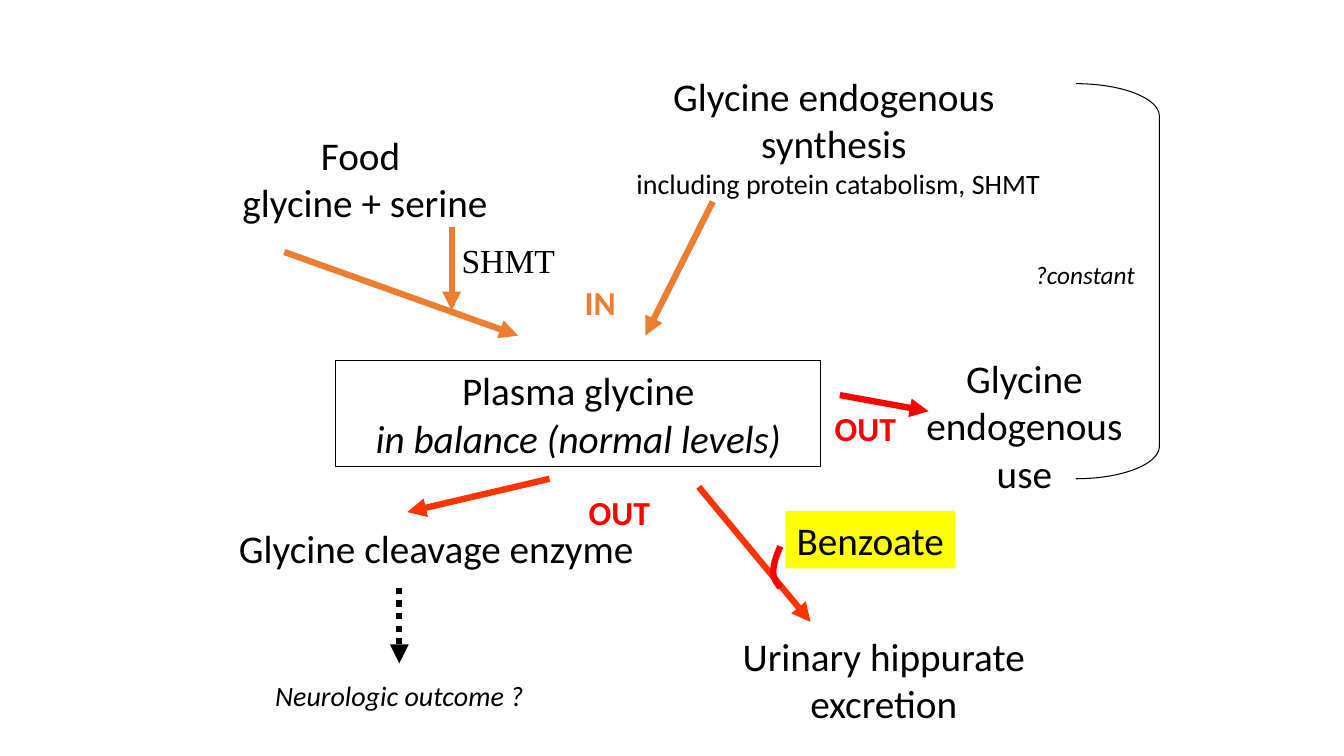
"""Builds a one-slide diagram of glycine entering and leaving the plasma pool."""
from lxml import etree
from pptx import Presentation
from pptx.dml.color import RGBColor
from pptx.enum.dml import MSO_LINE
from pptx.enum.shapes import MSO_CONNECTOR, MSO_SHAPE
from pptx.enum.text import MSO_AUTO_SIZE, PP_ALIGN
from pptx.oxml.ns import qn
from pptx.util import Inches, Pt

STRAIGHT = MSO_CONNECTOR.STRAIGHT
RECTANGLE = MSO_SHAPE.RECTANGLE
RIGHT_BRACKET = MSO_SHAPE.RIGHT_BRACKET
DOTTED = MSO_LINE.ROUND_DOT
GROW = MSO_AUTO_SIZE.SHAPE_TO_FIT_TEXT
CENTER, LEFT = PP_ALIGN.CENTER, PP_ALIGN.LEFT

BLACK = RGBColor(0x00, 0x00, 0x00)
ORANGE = RGBColor(0xED, 0x7D, 0x31)
RED = RGBColor(0xFF, 0x00, 0x00)
ORANGE_RED = RGBColor(0xFF, 0x33, 0x00)
YELLOW = RGBColor(0xFF, 0xFF, 0x00)
BODY_FONT, SERIF_FONT = "Calibri", "Times New Roman"
THIN, THICK = 0.75, 4.5

# (left, top, width, height), wraps, [(text, size, italic)]
TOPICS = [
    ((2.29, 1.25, 2.66, 1.04), False, [("Food ", 28, False), ("glycine + serine", 28, False)]),
    ((5.98, 0.67, 4.67, 1.37), True, [
        ("Glycine endogenous ", 28, False),
        ("synthesis ", 28, False),
        ("including protein catabolism, SHMT", 20, False),
    ]),
    ((8.82, 3.47, 2.68, 1.5), True, [("Glycine endogenous use", 28, False)]),
    ((2.25, 5.15, 4.24, 0.57), False, [("Glycine cleavage enzyme ", 28, False)]),
    ((2.62, 6.68, 2.68, 0.44), False, [("Neurologic outcome ?", 20, True)]),
    ((6.96, 6.22, 3.61, 1.03), True, [("Urinary hippurate excretion", 28, False)]),
]
# (left, top, width, height), wraps, lines, fill, outline
PANELS = [
    ((3.33, 3.58, 4.81, 1.05), True,
     [("Plasma glycine", 28, False), ("in balance (normal levels)", 28, True)], None, BLACK),
    ((7.79, 5.07, 1.68, 0.57), False, [("Benzoate", 28, False)], YELLOW, None),
]
# (left, top, width, height), text, size, colour, font, bold, italic
LABELS = [
    ((5.7, 2.75, 0.51, 0.5), "IN", 24, ORANGE, BODY_FONT, True, False),
    ((5.74, 4.83, 0.82, 0.5), "OUT", 24, RED, BODY_FONT, True, False),
    ((8.18, 4, 0.82, 0.5), "OUT", 24, RED, BODY_FONT, True, False),
    ((4.48, 2.33, 1.13, 0.5), "SHMT", 24, BLACK, SERIF_FONT, False, False),
    ((10.17, 2.52, 1.2, 0.4), "?constant", 18, BLACK, BODY_FONT, False, True),
]
# start, end, colour, dash
ARROWS = [
    ((7.07, 2), (6.4, 3.33), ORANGE, None),
    ((8.33, 3.92), (9.21, 4.08), RED, None),
    ((2.82, 2.5), (5.14, 3.33), ORANGE, None),
    ((5.45, 4.75), (4.04, 5.08), ORANGE_RED, None),
    ((6.93, 4.83), (8.04, 6.17), ORANGE_RED, None),
    ((3.96, 5.83), (3.96, 6.58), BLACK, DOTTED),
    ((4.48, 2.25), (4.48, 3.08), ORANGE, None),
]
BRACKET = (10.67, 0.83, 0.83, 3.92)
BRACKET_CURVE = 0.39
BENZOATE_CURVES = [
    [(7.74, 5.42), (7.7, 5.51), (7.67, 5.6), (7.67, 5.67)],
    [(7.67, 5.67), (7.67, 5.74), (7.7, 5.78), (7.74, 5.83)],
]
CURVE_STEPS = 10


def inches(values):
    return [Inches(value) for value in values]


def write(box, wraps, lines, align=CENTER, color=BLACK, font=BODY_FONT, bold=False):
    frame = box.text_frame
    frame.word_wrap = wraps
    frame.auto_size = GROW
    frame.text = "\n".join(text for text, _, _ in lines)
    for para, (_, size, italic) in zip(frame.paragraphs, lines):
        para.alignment = align
        for span in para.runs:
            span.font.name = font
            span.font.size = Pt(size)
            span.font.color.rgb = color
            span.font.bold = bold
            span.font.italic = italic


def paint(shape, fill, outline, width=THIN):
    shape.shadow.inherit = False
    if fill is None:
        shape.fill.background()
    else:
        shape.fill.solid()
        shape.fill.fore_color.rgb = fill
    if outline is None:
        shape.line.fill.background()
    else:
        shape.line.color.rgb = outline
        shape.line.width = Pt(width)


def add_arrow(page, start, end, color, dash):
    arrow = page.shapes.add_connector(STRAIGHT, *inches(start + end))
    arrow.line.color.rgb = color
    arrow.line.width = Pt(THICK)
    if dash is not None:
        arrow.line.dash_style = dash
    etree.SubElement(arrow.line._get_or_add_ln(), qn("a:tailEnd"), type="triangle")
    etree.SubElement(arrow._element.spPr, qn("a:effectLst"))


def curve_point(controls, t):
    weights = ((1 - t) ** 3, 3 * t * (1 - t) ** 2, 3 * t * t * (1 - t), t ** 3)
    return tuple(
        Inches(sum(weight * value for weight, value in zip(weights, axis)))
        for axis in zip(*controls)
    )


def add_benzoate_curve(page):
    points = [
        curve_point(controls, step / CURVE_STEPS)
        for controls in BENZOATE_CURVES
        for step in range(1, CURVE_STEPS + 1)
    ]
    builder = page.shapes.build_freeform(*inches(BENZOATE_CURVES[0][0]))
    builder.add_line_segments(points, close=False)
    paint(builder.convert_to_shape(), None, RED, THICK)


def main():
    deck = Presentation()
    deck.slide_width, deck.slide_height = Inches(13.33), Inches(7.5)
    page = deck.slides.add_slide(deck.slide_layouts[6])
    for place, wraps, lines in TOPICS:
        write(page.shapes.add_textbox(*inches(place)), wraps, lines)
    for place, wraps, lines, fill, outline in PANELS:
        panel = page.shapes.add_shape(RECTANGLE, *inches(place))
        paint(panel, fill, outline)
        write(panel, wraps, lines)
    for arrow in ARROWS:
        add_arrow(page, *arrow)
    add_benzoate_curve(page)
    bracket = page.shapes.add_shape(RIGHT_BRACKET, *inches(BRACKET))
    bracket.adjustments[0] = BRACKET_CURVE
    paint(bracket, None, BLACK)
    for place, text, size, color, font, bold, italic in LABELS:
        label = page.shapes.add_textbox(*inches(place))
        write(label, False, [(text, size, italic)], LEFT, color, font, bold)
    deck.save("out.pptx")


if __name__ == "__main__":
    main()
